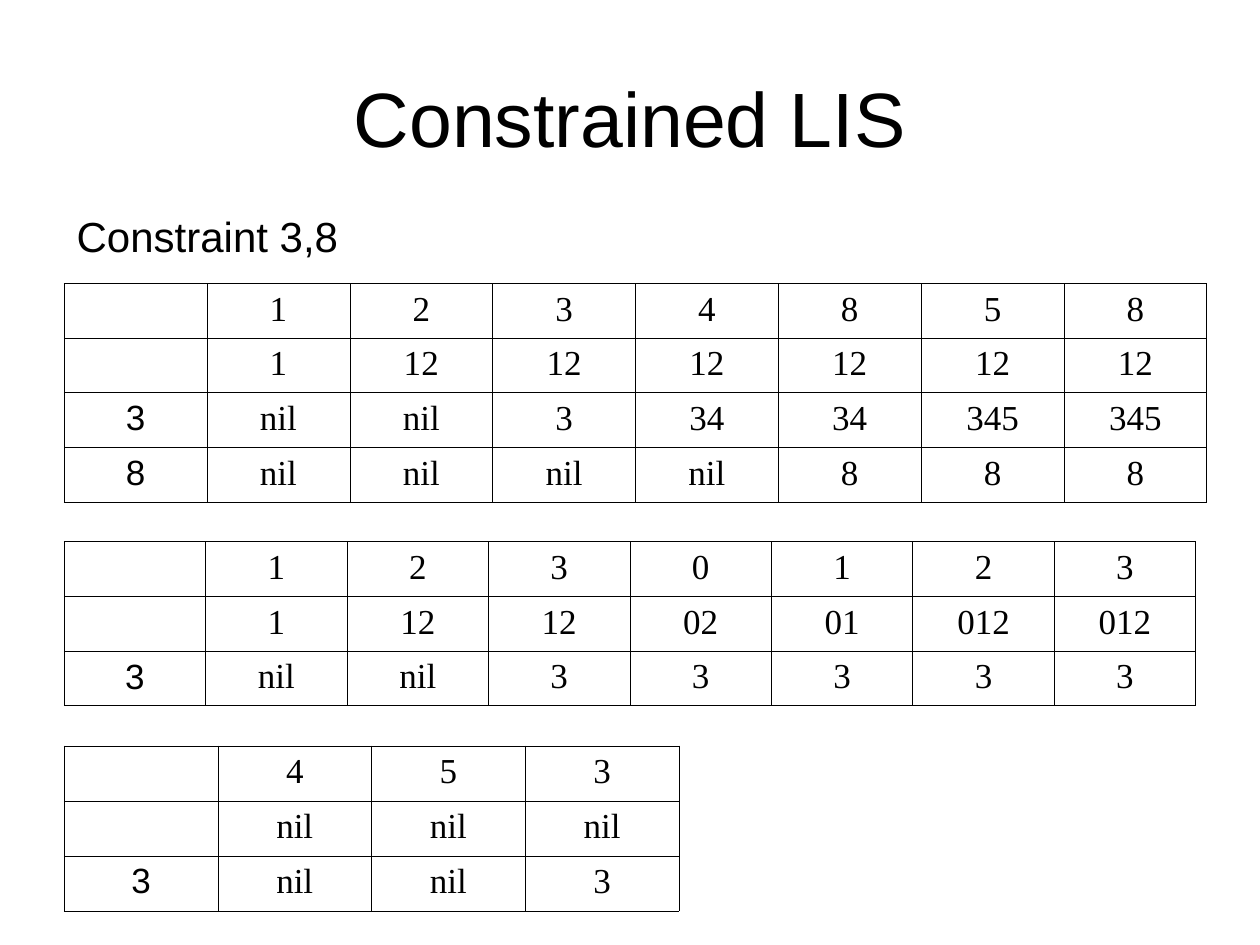
from lxml.etree import SubElement
from pptx import Presentation
from pptx.dml.color import RGBColor
from pptx.enum.text import MSO_ANCHOR, PP_ALIGN
from pptx.oxml.ns import qn
from pptx.util import Inches, Pt

BLACK = "000000"
LEFT = 0.51


def add_run(paragraph, text, size, font_name, color=BLACK):
    run = paragraph.add_run()
    run.text = text
    run.font.size = Pt(size)
    run.font.name = font_name
    run.font.color.rgb = RGBColor.from_string(color)


def add_borders(cell, color=BLACK, width=0.45):
    """Line all four sides; border elements must come before the fill."""
    properties = cell._tc.get_or_add_tcPr()
    for position, side in enumerate(("lnL", "lnR", "lnT", "lnB")):
        line = SubElement(properties, qn(f"a:{side}"), w=str(Pt(width)))
        fill = SubElement(line, qn("a:solidFill"))
        SubElement(fill, qn("a:srgbClr"), val=color)
        properties.insert(position, line)


presentation = Presentation()
presentation.slide_width = Inches(10)
presentation.slide_height = Inches(7.5)
slide = presentation.slides.add_slide(presentation.slide_layouts[6])

# Title and constraint: text, left, top, width, height, size, alignment, anchor
text_boxes = [
    ("Constrained LIS", 0.5, 0.3, 9, 1.25, 44, PP_ALIGN.CENTER, MSO_ANCHOR.MIDDLE),
    ("Constraint 3,8", LEFT, 1.62, 7.01, 0.5, 24, PP_ALIGN.LEFT, MSO_ANCHOR.TOP),
]
for text, left, top, width, height, size, alignment, anchor in text_boxes:
    box = slide.shapes.add_textbox(Inches(left), Inches(top), Inches(width), Inches(height))
    box.text_frame.word_wrap = True
    box.text_frame.vertical_anchor = anchor
    paragraph = box.text_frame.paragraphs[0]
    paragraph.alignment = alignment
    add_run(paragraph, text, size, "Arial")

# Tables: top, width, height, rows
tables = [
    (2.25, 9.07, 1.73, [
        ["", "1", "2", "3", "4", "8", "5", "8"],
        ["", "1", "12", "12", "12", "12", "12", "12"],
        ["3", "nil", "nil", "3", "34", "34", "345", "345"],
        ["8", "nil", "nil", "nil", "nil", "8", "8", "8"],
    ]),
    (4.3, 8.98, 1.3, [
        ["", "1", "2", "3", "0", "1", "2", "3"],
        ["", "1", "12", "12", "02", "01", "012", "012"],
        ["3", "nil", "nil", "3", "3", "3", "3", "3"],
    ]),
    (5.92, 4.88, 1.31, [
        ["", "4", "5", "3"],
        ["", "nil", "nil", "nil"],
        ["3", "nil", "nil", "3"],
    ]),
]
for top, width, height, rows in tables:
    table = slide.shapes.add_table(
        len(rows), len(rows[0]), Inches(LEFT), Inches(top), Inches(width), Inches(height)
    ).table
    table.first_row = False
    table.horz_banding = False
    for row_index, row in enumerate(rows):
        for column_index, text in enumerate(row):
            cell = table.cell(row_index, column_index)
            cell.fill.background()
            add_borders(cell)
            if text:
                paragraph = cell.text_frame.paragraphs[0]
                paragraph.alignment = PP_ALIGN.CENTER
                font_name = "Arial" if column_index == 0 else "Times New Roman"
                add_run(paragraph, text, 20, font_name)

presentation.save("out.pptx")
